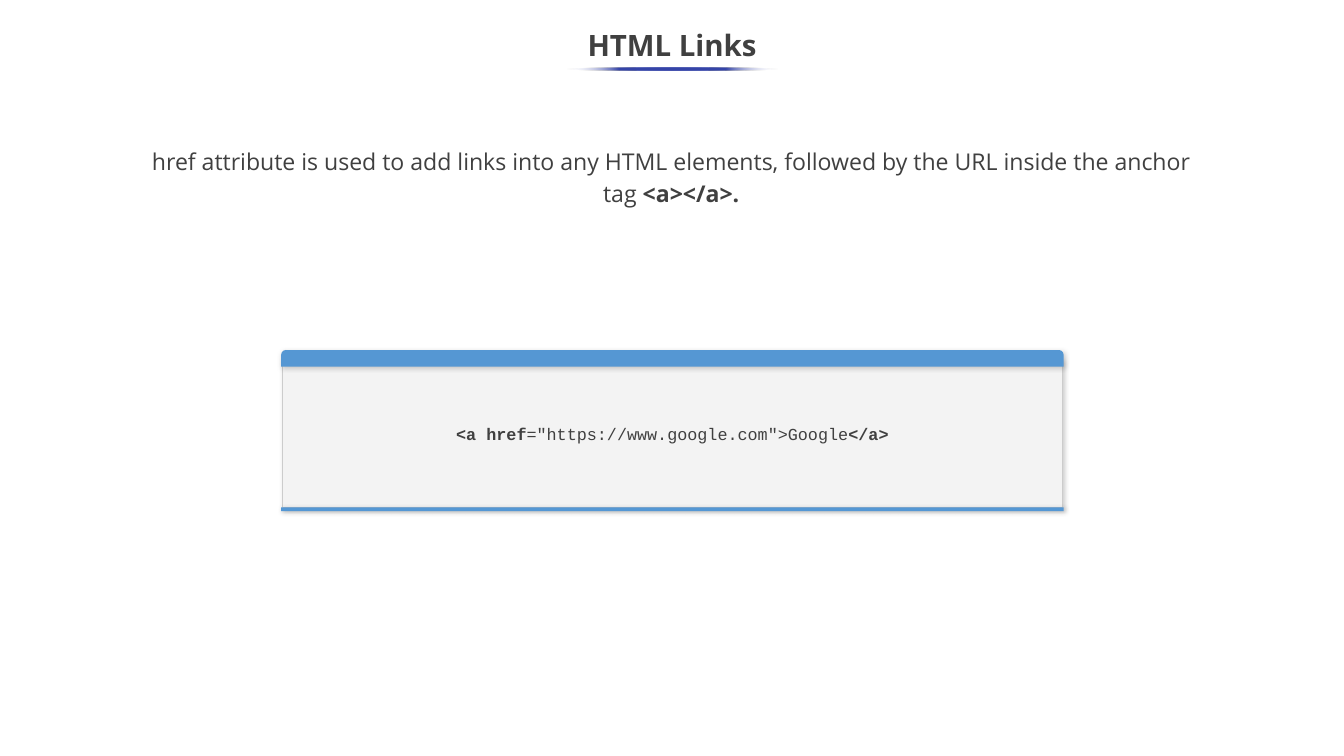
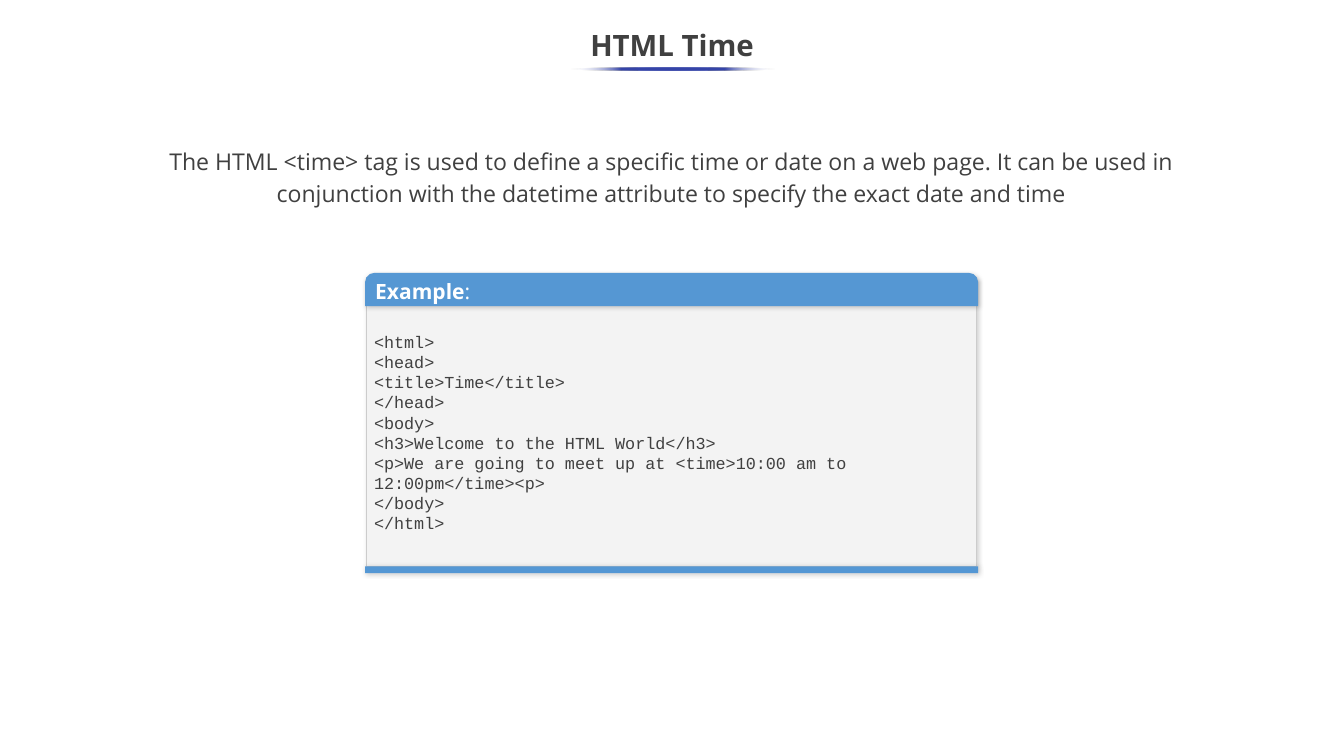
from dataclasses import dataclass

from lxml import etree
from pptx import Presentation
from pptx.dml.color import RGBColor
from pptx.enum.shapes import MSO_SHAPE
from pptx.enum.text import MSO_ANCHOR, PP_ALIGN
from pptx.oxml import parse_xml
from pptx.oxml.ns import nsdecls, qn
from pptx.util import Inches, Pt

SLIDE_WIDTH, SLIDE_HEIGHT = 17.78, 10
TEXT_FONT, CODE_FONT = "Open Sans", "Courier New"
TEXT_COLOUR = "404040"
HEADER_BLUE, FOOTER_BLUE = "5597D3", "5497D4"
CODE_FILL, CODE_BORDER = "F3F3F3", "CCCCCC"
ACCENT, WHITE = "3645A9", "FFFFFF"


@dataclass
class Box:
    left: float
    top: float
    width: float
    height: float

    def lengths(self):
        return [Inches(value) for value in (self.left, self.top, self.width, self.height)]


def colour(hex_string):
    return RGBColor.from_string(hex_string)


def add_runs(paragraph, runs, font_name, size, hex_colour=TEXT_COLOUR):
    """Add (text, bold) pairs to the paragraph."""
    for text, bold in runs:
        run = paragraph.add_run()
        run.text = text
        run.font.name = font_name
        run.font.size = Pt(size)
        run.font.bold = bold
        run.font.color.rgb = colour(hex_colour)


def add_shadow(shape):
    shape.shadow.inherit = False
    effects = shape._element.spPr.find(qn("a:effectLst"))
    effects.append(parse_xml(
        f'<a:outerShdw {nsdecls("a")} blurRad="{Pt(4.5)}" dist="{Pt(1.5)}" '
        f'dir="{47 * 60000}" algn="tl" rotWithShape="0">'
        '<a:srgbClr val="000000"><a:alpha val="20000"/></a:srgbClr></a:outerShdw>'))


def add_panel_part(shapes, kind, box, fill):
    shape = shapes.add_shape(kind, *box.lengths())
    shape.fill.solid()
    shape.fill.fore_color.rgb = colour(fill)
    shape.line.fill.background()
    add_shadow(shape)
    frame = shape.text_frame
    frame.word_wrap = True
    frame.vertical_anchor = MSO_ANCHOR.MIDDLE
    frame.margin_left = frame.margin_right = Inches(0.1)
    frame.margin_top = frame.margin_bottom = Inches(0.1)
    return shape


def add_code_panel(slide, box, header_height, footer_height, code_offset, code_lines,
                   alignment=PP_ALIGN.LEFT, top_margin=0.1, header_runs=()):
    """Draw a code area between a rounded header and a thin footer."""
    shapes = slide.shapes.add_group_shape().shapes
    footer_top = box.top + box.height - footer_height

    code_box = Box(box.left + 0.02, box.top + code_offset, box.width - 0.04,
                   footer_top - box.top - code_offset)
    code = add_panel_part(shapes, MSO_SHAPE.RECTANGLE, code_box, CODE_FILL)
    code.line.color.rgb = colour(CODE_BORDER)
    code.line.width = Pt(0.75)
    frame = code.text_frame
    frame.margin_top = Inches(top_margin)
    for index, runs in enumerate(code_lines):
        paragraph = frame.add_paragraph() if index else frame.paragraphs[0]
        paragraph.alignment = alignment
        add_runs(paragraph, runs, CODE_FONT, 16)

    add_panel_part(shapes, MSO_SHAPE.RECTANGLE,
                   Box(box.left, footer_top, box.width, footer_height), FOOTER_BLUE)

    header = add_panel_part(shapes, MSO_SHAPE.ROUND_2_SAME_RECTANGLE,
                            Box(box.left, box.top, box.width, header_height), HEADER_BLUE)
    header.adjustments[0] = 0.275
    header.adjustments[1] = 0
    if header_runs:
        paragraph = header.text_frame.paragraphs[0]
        paragraph.alignment = PP_ALIGN.LEFT
        add_runs(paragraph, header_runs, TEXT_FONT, 20, WHITE)


def add_title_underline(slide, width):
    """Draw a centred line that fades out at both ends."""
    box = Box((SLIDE_WIDTH + 0.02 - width) / 2, 0.89, width, 0.04)
    underline = slide.shapes.add_shape(MSO_SHAPE.OVAL, *box.lengths())
    underline.shadow.inherit = False
    underline.line.fill.background()
    underline.fill.gradient()
    underline.fill.gradient_angle = 0
    stops = underline._element.spPr.find(qn("a:gradFill")).find(qn("a:gsLst"))
    for stop in list(stops):
        stops.remove(stop)
    for percent in range(0, 101, 25):
        at_end = percent in (0, 100)
        stop = etree.SubElement(stops, qn("a:gs"), pos=str(percent * 1000))
        stop_colour = etree.SubElement(stop, qn("a:srgbClr"), val=WHITE if at_end else ACCENT)
        if at_end:
            etree.SubElement(stop_colour, qn("a:alpha"), val="0")


def add_description(slide, runs):
    text_box = slide.shapes.add_textbox(*Box(1.68, 1.85, 14.4, 0.93).lengths())
    text_box.text_frame.word_wrap = True
    paragraph = text_box.text_frame.paragraphs[0]
    paragraph.alignment = PP_ALIGN.CENTER
    paragraph.line_spacing = 1.15
    add_runs(paragraph, runs, TEXT_FONT, 22)


def place_title(layout):
    title = layout.placeholders[0]
    title.left, title.top, title.width, title.height = Box(-0.01, 0.25, 17.8, 0.75).lengths()
    title.text_frame.vertical_anchor = MSO_ANCHOR.MIDDLE


def add_topic_slide(presentation, title, underline_width, description):
    slide = presentation.slides.add_slide(presentation.slide_layouts[5])
    paragraph = slide.shapes.title.text_frame.paragraphs[0]
    paragraph.alignment = PP_ALIGN.CENTER
    paragraph.line_spacing = 0.9
    add_runs(paragraph, [(title, True)], TEXT_FONT, 28)
    add_title_underline(slide, underline_width)
    add_description(slide, description)
    return slide


def add_links_slide(presentation):
    slide = add_topic_slide(presentation, "HTML Links", 2.8, [
        ("href attribute is used to add links into any HTML elements, "
         "followed by the URL inside the anchor tag ", False),
        ("<a></a>.", True)])
    link = [("<a href", True), ('="https://www.google.com">Google', False), ("</a>", True)]
    add_code_panel(slide, Box(3.72, 4.63, 10.35, 2.13), 0.22, 0.05, 0.13, [link],
                   alignment=PP_ALIGN.CENTER)


def add_time_slide(presentation):
    slide = add_topic_slide(presentation, "HTML Time", 2.71, [
        ("The HTML <time> tag is used to define a specific time or date on a web page. "
         "It can be used in conjunction with the datetime attribute to specify "
         "the exact date and time", False)])
    code_lines = [
        "<html>",
        "<head>",
        "<title>Time</title>",
        "</head>",
        "<body>",
        "<h3>Welcome to the HTML World</h3>",
        "<p>We are going to meet up at <time>10:00 am to 12:00pm</time><p>",
        "</body>",
        "</html>",
    ]
    add_code_panel(slide, Box(4.83, 3.61, 8.11, 3.97), 0.44, 0.09, 0.07,
                   [[(line, False)] for line in code_lines], top_margin=0.37,
                   header_runs=[("Example", True), (":", False)])


def main():
    presentation = Presentation()
    presentation.slide_width = Inches(SLIDE_WIDTH)
    presentation.slide_height = Inches(SLIDE_HEIGHT)
    place_title(presentation.slide_layouts[5])
    add_links_slide(presentation)
    add_time_slide(presentation)
    presentation.save("out.pptx")


if __name__ == "__main__":
    main()
